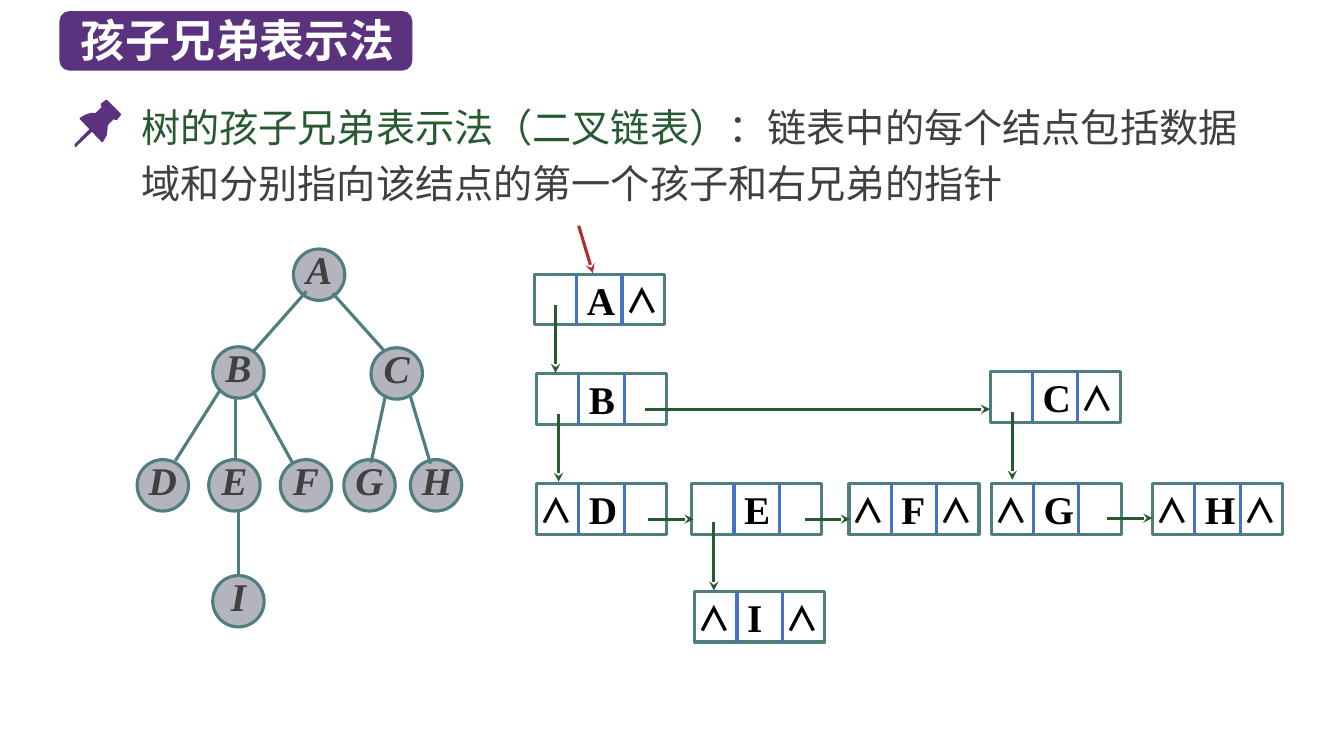
from lxml.etree import SubElement
from pptx import Presentation
from pptx.dml.color import RGBColor
from pptx.enum.shapes import MSO_CONNECTOR, MSO_SHAPE
from pptx.enum.text import MSO_ANCHOR, MSO_AUTO_SIZE, PP_ALIGN
from pptx.oxml.ns import qn
from pptx.util import Inches, Pt

CHINESE = "Noto Sans CJK SC"
LATIN = "Times New Roman"
PURPLE, TEAL, GREEN, BLUE = "5A327D", "507D7D", "285A32", "4472C4"
RED, GRAY, BLACK, WHITE = "B42D2D", "404040", "000000", "FFFFFF"

DIAMETER = 0.51
CELL_WIDTH, CELL_HEIGHT = 1.29, 0.5
DIVIDERS = (0.42, 0.87)

TREE_NODES = {
    "A": (2.91, 2.47), "B": (2.11, 3.44), "C": (3.68, 3.45),
    "D": (1.36, 4.56), "E": (2.07, 4.56), "F": (2.78, 4.56),
    "G": (3.41, 4.56), "H": (4.07, 4.56), "I": (2.11, 5.71),
}
TREE_EDGES = [
    (3.04, 2.89, 2.51, 3.49), (3.3, 2.91, 3.82, 3.49),
    (2.19, 3.86, 1.74, 4.57), (2.34, 3.93, 2.34, 4.57),
    (2.51, 3.88, 2.9, 4.59), (3.82, 3.94, 3.68, 4.59),
    (4.07, 3.93, 4.27, 4.6), (2.37, 5.08, 2.37, 5.72),
]
LIST_NODES = [
    ("A", 5.3, 2.72, False, True), ("B", 5.32, 3.71, False, False),
    ("C", 9.82, 3.69, False, True), ("D", 5.32, 4.8, True, False),
    ("E", 6.86, 4.8, False, False), ("F", 8.42, 4.8, True, True),
    ("G", 9.83, 4.8, True, False), ("H", 11.43, 4.8, True, True),
    ("I", 6.89, 5.87, True, True),
]
POINTERS = [
    (5.51, 3.03, 5.51, 3.7), (5.54, 4.11, 5.54, 4.78),
    (10.04, 4.09, 10.04, 4.76), (7.08, 5.18, 7.08, 5.86),
    (6.4, 4.06, 9.82, 4.06), (6.43, 5.15, 6.88, 5.15),
    (7.98, 5.15, 8.43, 5.15), (10.98, 5.14, 11.43, 5.14),
]
PIN_HEAD = [
    (1.2, 1.13), (1.06, 0.99), (1.05, 0.99), (1, 1.03), (1, 1.05), (1.01, 1.06),
    (0.95, 1.12), (0.9, 1.12), (0.84, 1.14), (0.79, 1.17), (0.79, 1.18),
    (1.01, 1.41), (1.02, 1.41), (1.06, 1.34), (1.07, 1.24), (1.13, 1.18),
    (1.14, 1.19), (1.16, 1.19), (1.2, 1.14),
]
PIN_NEEDLE = [
    (0.75, 1.46), (0.74, 1.45), (0.74, 1.43), (0.89, 1.28), (0.91, 1.27),
    (0.92, 1.28), (0.92, 1.3), (0.76, 1.45),
]


def color(value):
    return RGBColor.from_string(value)


def place(shape, left, top, width, height):
    shape.left, shape.top = Inches(left), Inches(top)
    shape.width, shape.height = Inches(width), Inches(height)


def write(shape, runs, *, font, size, bold=False, italic=False, spacing=None,
          align=PP_ALIGN.LEFT, anchor=MSO_ANCHOR.MIDDLE, insets=(0, 0, 0, 0)):
    frame = shape.text_frame
    frame.word_wrap = True
    frame.auto_size = MSO_AUTO_SIZE.NONE
    frame.vertical_anchor = anchor
    frame.margin_left, frame.margin_top, frame.margin_right, frame.margin_bottom = map(Inches, insets)
    paragraph = frame.paragraphs[0]
    properties = paragraph._p.get_or_add_pPr()
    properties.set("marL", "0")
    properties.set("indent", "0")
    SubElement(properties, qn("a:buNone"))
    paragraph.alignment = align
    paragraph.space_before = Pt(0)
    if spacing:
        paragraph.line_spacing = spacing
    for text, run_color in runs:
        run = paragraph.add_run()
        run.text = text
        run.font.name = font
        run.font.size = Pt(size)
        run.font.bold = bold
        run.font.italic = italic
        run.font.color.rgb = color(run_color)
        SubElement(run._r.get_or_add_rPr(), qn("a:ea"), typeface=font)


def style(shape, fill=None, line=None):
    shape.shadow.inherit = False
    if fill:
        shape.fill.solid()
        shape.fill.fore_color.rgb = color(fill)
    else:
        shape.fill.background()
    if line:
        shape.line.color.rgb = color(line)
        shape.line.width = Pt(2.25)
    else:
        shape.line.fill.background()


def add_box(slide, kind, left, top, width, height, **look):
    shape = slide.shapes.add_shape(kind, *map(Inches, (left, top, width, height)))
    style(shape, **look)
    return shape


def add_line(slide, ends, line_color, arrow=False):
    connector = slide.shapes.add_connector(MSO_CONNECTOR.STRAIGHT, *map(Inches, ends))
    connector.line.color.rgb = color(line_color)
    connector.line.width = Pt(2.25)
    if arrow:
        SubElement(connector.line._get_or_add_ln(), qn("a:tailEnd"), type="stealth")
    SubElement(connector._element.spPr, qn("a:effectLst"))


def add_outline(slide, points):
    corners = [(Inches(x), Inches(y)) for x, y in points]
    builder = slide.shapes.build_freeform(*corners[0])
    builder.add_line_segments(corners[1:], close=True)
    style(builder.convert_to_shape(), fill=PURPLE)


def add_tree_node(slide, letter, left, top):
    circle = add_box(slide, MSO_SHAPE.OVAL, left, top, DIAMETER, DIAMETER, fill="B4B4BE", line=TEAL)
    write(circle, [(letter, GRAY)], font=LATIN, size=28, bold=True, italic=True,
          spacing=0.8, align=PP_ALIGN.CENTER, insets=(0.04, 0.02, 0.04, 0.04))


def add_null(slide, left, top):
    box = slide.shapes.add_textbox(*map(Inches, (left, top, 0.4, 0.4)))
    write(box, [("∧", BLACK)], font=CHINESE, size=24, bold=True, anchor=MSO_ANCHOR.TOP)


def add_list_node(slide, letter, left, top, no_child, no_sibling):
    box = add_box(slide, MSO_SHAPE.RECTANGLE, left, top, CELL_WIDTH, CELL_HEIGHT, line=TEAL)
    write(box, [(letter, BLACK)], font=LATIN, size=28, bold=True, insets=(0.52, 0, 0.1, 0))
    for offset in DIVIDERS:
        add_line(slide, (left + offset, top, left + offset, top + CELL_HEIGHT), BLUE)
    if no_child:
        add_null(slide, left + 0.03, top + 0.06)
    if no_sibling:
        add_null(slide, left + 0.9, top + 0.06)


def add_heading(slide):
    title = slide.shapes.title
    place(title, 0.7, 0.07, 3.38, 0.64)
    write(title, [("孩子兄弟表示法", WHITE)], font=CHINESE, size=32, bold=True, insets=(0.1, 0.05, 0.1, 0.05))
    badge = add_box(slide, MSO_SHAPE.ROUNDED_RECTANGLE, 0.59, 0.11, 3.5, 0.59, fill=PURPLE)
    title.element.addprevious(badge.element)


def add_definition(slide):
    body = slide.placeholders[1]
    place(body, 1.36, 0.89, 10.94, 1.18)
    write(body, [("树的孩子兄弟表示法（二叉链表）", GREEN),
                 ("：链表中的每个结点包括数据域和分别指向该结点的第一个孩子和右兄弟的指针", GRAY)],
          font=CHINESE, size=28, spacing=Pt(40), anchor=MSO_ANCHOR.TOP, insets=(0.04, 0.05, 0, 0.05))
    for points in (PIN_HEAD, PIN_NEEDLE):
        add_outline(slide, points)


def main():
    presentation = Presentation()
    presentation.slide_width, presentation.slide_height = Inches(13.33), Inches(7.5)
    slide = presentation.slides.add_slide(presentation.slide_layouts[1])
    add_heading(slide)
    add_definition(slide)
    for letter, position in TREE_NODES.items():
        add_tree_node(slide, letter, *position)
    for ends in TREE_EDGES:
        add_line(slide, ends, TEAL)
    for node in LIST_NODES:
        add_list_node(slide, *node)
    for ends in POINTERS:
        add_line(slide, ends, GREEN, arrow=True)
    add_line(slide, (5.74, 2.24, 5.88, 2.71), RED, arrow=True)
    presentation.save("out.pptx")


if __name__ == "__main__":
    main()
